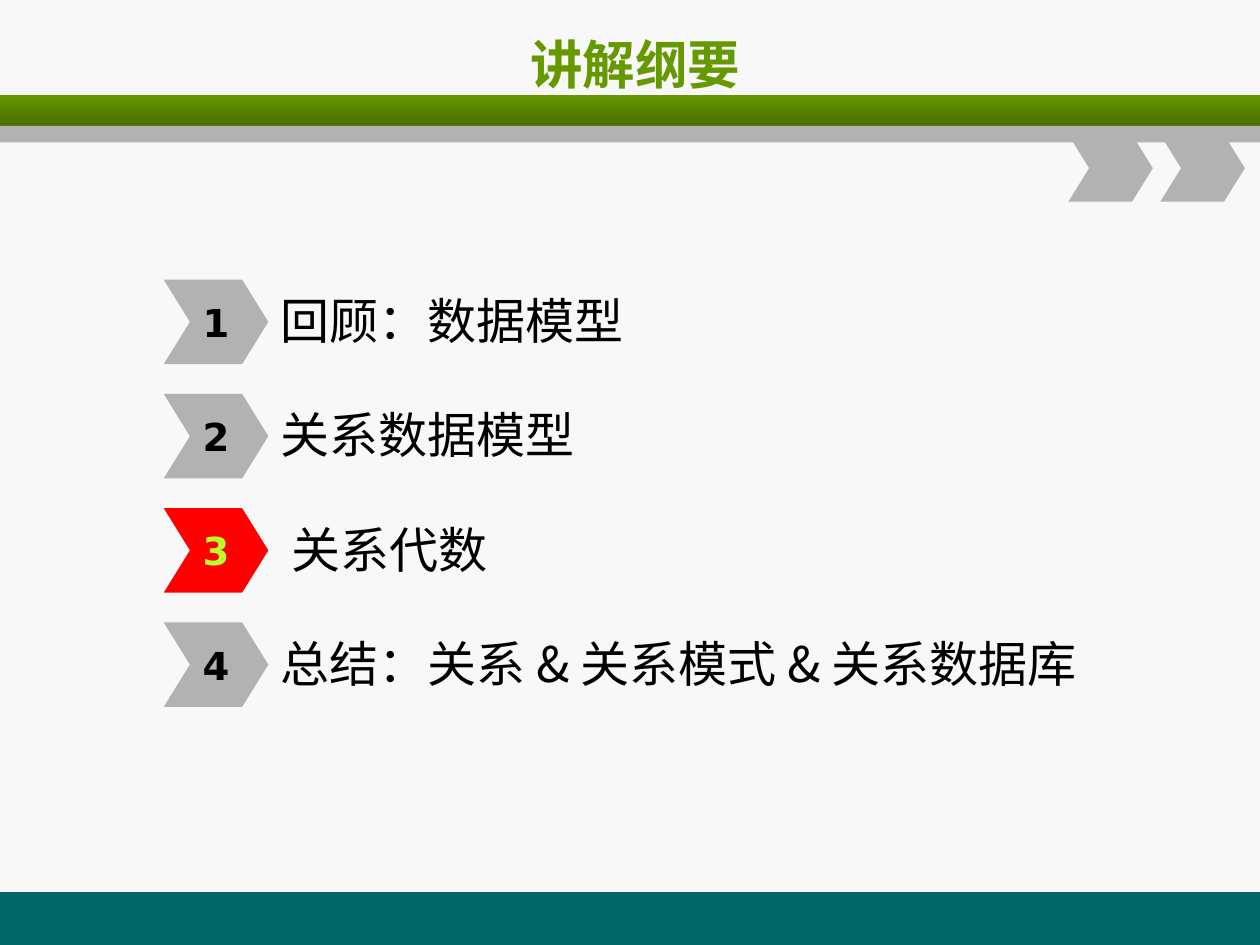
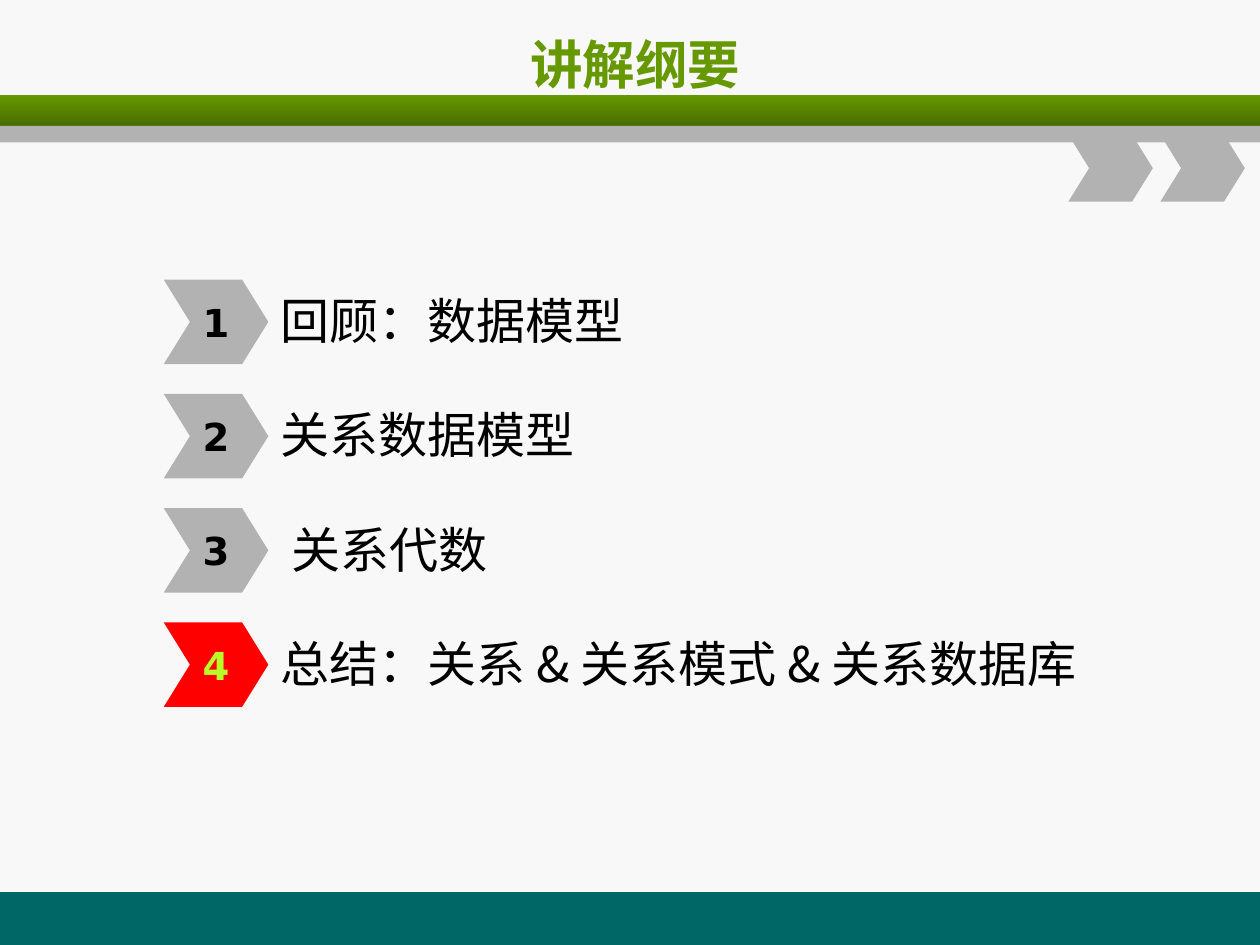
from dataclasses import dataclass

from pptx import Presentation
from pptx.dml.color import RGBColor
from pptx.enum.shapes import MSO_SHAPE as Shape
from pptx.enum.text import MSO_ANCHOR as Anchor, MSO_AUTO_SIZE as AutoSize, PP_ALIGN as Align
from pptx.oxml.ns import qn
from pptx.util import Inches, Pt


@dataclass(frozen=True)
class Theme:
    paper: str = "F8F8F8"
    green: str = "669900"
    dark_green: str = "496D00"
    teal: str = "006666"
    grey: str = "B2B2B2"
    red: str = "FF0000"
    lime: str = "B8FF29"
    black: str = "000000"
    latin_font: str = "DejaVu Sans"
    chinese_font: str = "Noto Sans CJK JP"
    title_size: int = 30
    topic_size: int = 28
    number_size: int = 22


THEME = Theme()
TITLE = "讲解纲要"
TOPICS = ["回顾：数据模型", "关系数据模型", " 关系代数", "总结：关系 & 关系模式 & 关系数据库"]
CURRENT_TOPICS = [3, 4]

FIRST_ROW_TOP, LAST_ROW_TOP = 2.22, 4.94
ROW_PITCH = (LAST_ROW_TOP - FIRST_ROW_TOP) / (len(TOPICS) - 1)
LABEL_DROP = 0.03


def rgb(value):
    return RGBColor.from_string(value)


def inches(*lengths):
    return [Inches(length) for length in lengths]


def write_text(box, text, font, size, color, bold=False, align=Align.LEFT, wrap=False):
    frame = box.text_frame
    frame_format = {"word_wrap": wrap, "auto_size": AutoSize.NONE, "vertical_anchor": Anchor.MIDDLE}
    for name, value in frame_format.items():
        setattr(frame, name, value)
    para = frame.paragraphs[0]
    para.alignment = align
    span = para.add_run()
    span.text = text
    for name, value in {"name": font, "size": Pt(size), "bold": bold}.items():
        setattr(span.font, name, value)
    span.font.color.rgb = rgb(color)
    east_asian = span.font.element.makeelement(qn("a:ea"), {"typeface": font}) \
        if hasattr(span.font, "element") else None
    if east_asian is None:
        properties = span.font.fill and para.runs[0]._r.get_or_add_rPr()
        east_asian = properties.makeelement(qn("a:ea"), {"typeface": font})
        properties.find(qn("a:latin")).addnext(east_asian)


def add_plain_shape(slide, kind, place, color):
    shape = slide.shapes.add_shape(kind, *inches(*place))
    shape.shadow.inherit = False
    shape.fill.solid()
    shape.fill.fore_color.rgb = rgb(color)
    shape.line.fill.background()
    return shape


def add_chevron(slide, place, color):
    chevron = add_plain_shape(slide, Shape.CHEVRON, place, color)
    chevron.adjustments[0] = 0.31
    return chevron


def shade_downwards(shape, top_color, bottom_color):
    shape.fill.gradient()
    shape.fill.gradient_angle = 270
    for stop, color in zip(shape.fill.gradient_stops, (top_color, bottom_color)):
        stop.color.rgb = rgb(color)


def furnish_layout(layout, slide):
    """Draw the bands and corner chevrons on the slide, then move them to its layout."""
    layout.background.fill.solid()
    layout.background.fill.fore_color.rgb = rgb(THEME.paper)
    footer = add_plain_shape(slide, Shape.RECTANGLE, (0, 7.08, 10, 0.42), THEME.teal)
    green_band = add_plain_shape(slide, Shape.RECTANGLE, (0, 0.75, 10, 0.25), THEME.green)
    shade_downwards(green_band, THEME.green, THEME.dark_green)
    grey_band = add_plain_shape(slide, Shape.RECTANGLE, (0, 1, 10, 0.13), THEME.grey)
    corners = [add_chevron(slide, (left, 1.07, 0.67, 0.53), THEME.grey) for left in (8.48, 9.21)]
    for shape in (footer, green_band, grey_band, *corners):
        layout.element.cSld.spTree.append(shape.element)


def set_title(slide, text):
    title = slide.shapes.title
    title.left, title.top, title.width, title.height = inches(0.54, 0.17, 9, 0.67)
    write_text(title, text, THEME.latin_font, THEME.title_size, THEME.green,
               bold=True, align=Align.CENTER, wrap=True)


def add_topic(slide, number, text, is_current):
    top = FIRST_ROW_TOP + (number - 1) * ROW_PITCH
    label = slide.shapes.add_textbox(*inches(2.13, top + LABEL_DROP, 5.92, 0.58))
    write_text(label, text, THEME.chinese_font, THEME.topic_size, THEME.black)
    fill, ink = (THEME.red, THEME.lime) if is_current else (THEME.grey, THEME.black)
    chevron = add_chevron(slide, (1.3, top, 0.83, 0.67), fill)
    write_text(chevron, str(number), THEME.latin_font, THEME.number_size, ink,
               bold=True, align=Align.CENTER)


def add_outline_slide(deck, layout, current):
    slide = deck.slides.add_slide(layout)
    set_title(slide, TITLE)
    for number, text in enumerate(TOPICS, start=1):
        add_topic(slide, number, text, number == current)
    return slide


def main():
    deck = Presentation()
    deck.slide_width, deck.slide_height = inches(10, 7.5)
    layout = deck.slide_layouts.get_by_name("Title Only")
    slides = [add_outline_slide(deck, layout, current) for current in CURRENT_TOPICS]
    furnish_layout(layout, slides[0])
    deck.save("out.pptx")


if __name__ == "__main__":
    main()
